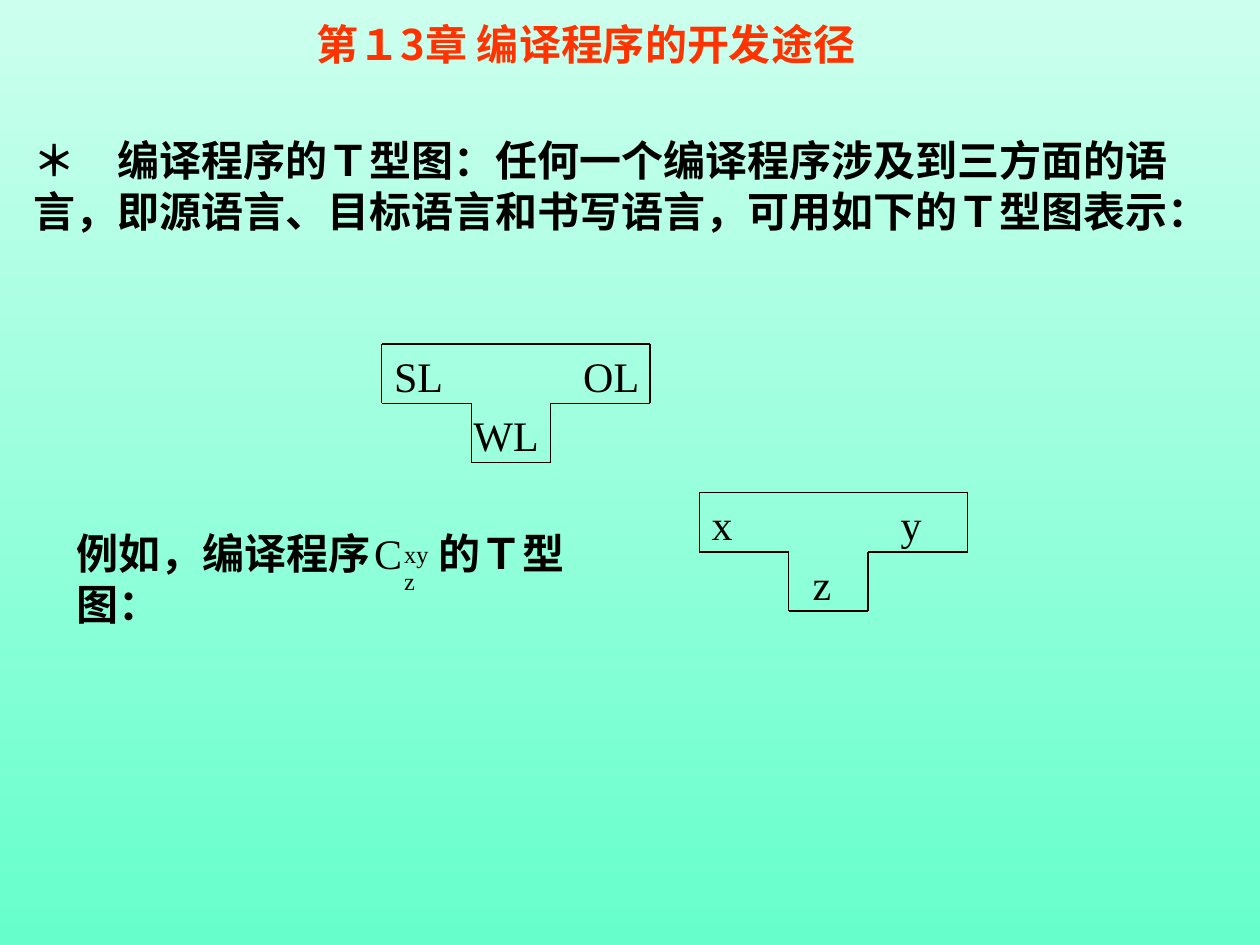
import itertools

import pptx
import pptx.dml.color
import pptx.enum.shapes
import pptx.enum.text
import pptx.oxml.ns
import pptx.util
from lxml import etree
from pptx.util import Inches

COLORS = {"title": "FF3300", "text": "000000", "bg_top": "CCFFEE", "bg_bottom": "66FFCC"}
CJK = "Noto Sans CJK SC"
SERIF = "Times New Roman"


def rgb(name):
    """Return the named colour."""
    return pptx.dml.color.RGBColor.from_string(COLORS[name])


def add_tag(parent, tag, **attrs):
    """Append a DrawingML element to a parent."""
    return etree.SubElement(parent, pptx.oxml.ns.qn(tag), **attrs)


def add_text(shapes, text, x, y, w, h, bold=False, font=SERIF, color="text",
             inset=0.1, baseline=None, tab=None):
    """Add a wrapped 24 pt text box and return it."""
    sp = shapes.add_textbox(Inches(x), Inches(y), Inches(w), Inches(h))
    tf = sp.text_frame
    tf.word_wrap = True
    tf.margin_left = Inches(inset)
    p = tf.paragraphs[0]
    r = p.add_run()
    r.text = text
    if baseline:
        r._r.get_or_add_rPr().set("baseline", str(baseline * 1000))
    pPr = p._p.get_or_add_pPr()
    pPr.set("hangingPunct", "0")
    if tab:
        tabs = add_tag(pPr, "a:tabLst")
        add_tag(tabs, "a:tab", pos=str(Inches(tab)), algn="l")
    p.font.size = pptx.util.Pt(24)
    p.font.bold = bold
    p.font.color.rgb = rgb(color)
    p.font.name = font
    add_tag(p.font._element, "a:ea", typeface=CJK)
    return sp


def add_background(s):
    """Fill the slide with a vertical gradient."""
    fill = s.background.fill
    fill.gradient()
    fill.gradient_angle = 270
    for stop, name, position in zip(fill.gradient_stops, ("bg_top", "bg_bottom"), (0, 1)):
        stop.color.rgb = rgb(name)
        stop.position = position


def add_title(s, x, y, w, h):
    """Add the centred chapter title."""
    tf = add_text(s.shapes, "第１3章 编译程序的开发途径", x, y, w, h,
                  bold=True, font=CJK, color="title").text_frame
    tf.vertical_anchor = pptx.enum.text.MSO_ANCHOR.MIDDLE
    tf.paragraphs[0].alignment = pptx.enum.text.PP_ALIGN.CENTER


def add_t_diagram(s, x, y, source, target, writing, stem_inset=0.1):
    """Draw a T diagram with its three language labels."""
    shapes = s.shapes.add_group_shape().shapes
    width, row, stem_left, stem_right = 2.13, 0.47, 0.71, 1.34
    outline = [(0, 0), (width, 0), (width, row), (stem_right, row), (stem_right, 2 * row),
               (stem_left, 2 * row), (stem_left, row), (0, row), (0, 0)]
    for (x1, y1), (x2, y2) in itertools.pairwise(outline):
        line = shapes.add_connector(pptx.enum.shapes.MSO_CONNECTOR.STRAIGHT,
                                    Inches(x + x1), Inches(y + y1),
                                    Inches(x + x2), Inches(y + y2))
        line.line.color.rgb = rgb("text")
        line.line.width = pptx.util.Pt(0.75)
        add_tag(line._element.spPr, "a:effectLst")
    add_text(shapes, source, x, y, 0.63, 0.5)
    add_text(shapes, target, x + 1.5, y, 0.79, 0.5)
    add_text(shapes, writing, x + 0.63, y + row, 0.87, 0.5, inset=stem_inset)


def add_example(s, x, y, w):
    """Add the example sentence with its compiler symbol."""
    shapes = s.shapes.add_group_shape().shapes
    add_text(shapes, "例如，编译程序\t的Ｔ型图：", x, y, w, 0.5, bold=True, tab=2.87)
    add_text(shapes, "C", x + 2.36, y, 0.39, 0.5)
    add_text(shapes, "xy", x + 2.6, y + 0.05, 0.55, 0.5, baseline=30)
    add_text(shapes, "z", x + 2.6, y + 0.08, 0.32, 0.56, baseline=-25)


def main():
    """Build and save the slide."""
    prs = pptx.Presentation()
    prs.slide_width, prs.slide_height = Inches(10), Inches(7.5)
    s = prs.slides.add_slide(prs.slide_layouts[6])
    add_background(s)
    add_title(s, 0, 0.06, 9.3, 0.58)
    add_text(s.shapes, "＊　编译程序的Ｔ型图：任何一个编译程序涉及到三方面的语言，"
             "即源语言、目标语言和书写语言，可用如下的Ｔ型图表示：",
             0.17, 1.02, 9.75, 1.51, bold=True)
    add_t_diagram(s, 3.03, 2.73, "SL", "OL", "WL")
    add_example(s, 0.51, 4.14, 4.65)
    add_t_diagram(s, 5.55, 3.91, "x", "y", "z", stem_inset=0.27)
    prs.save("out.pptx")


if __name__ == "__main__":
    main()
